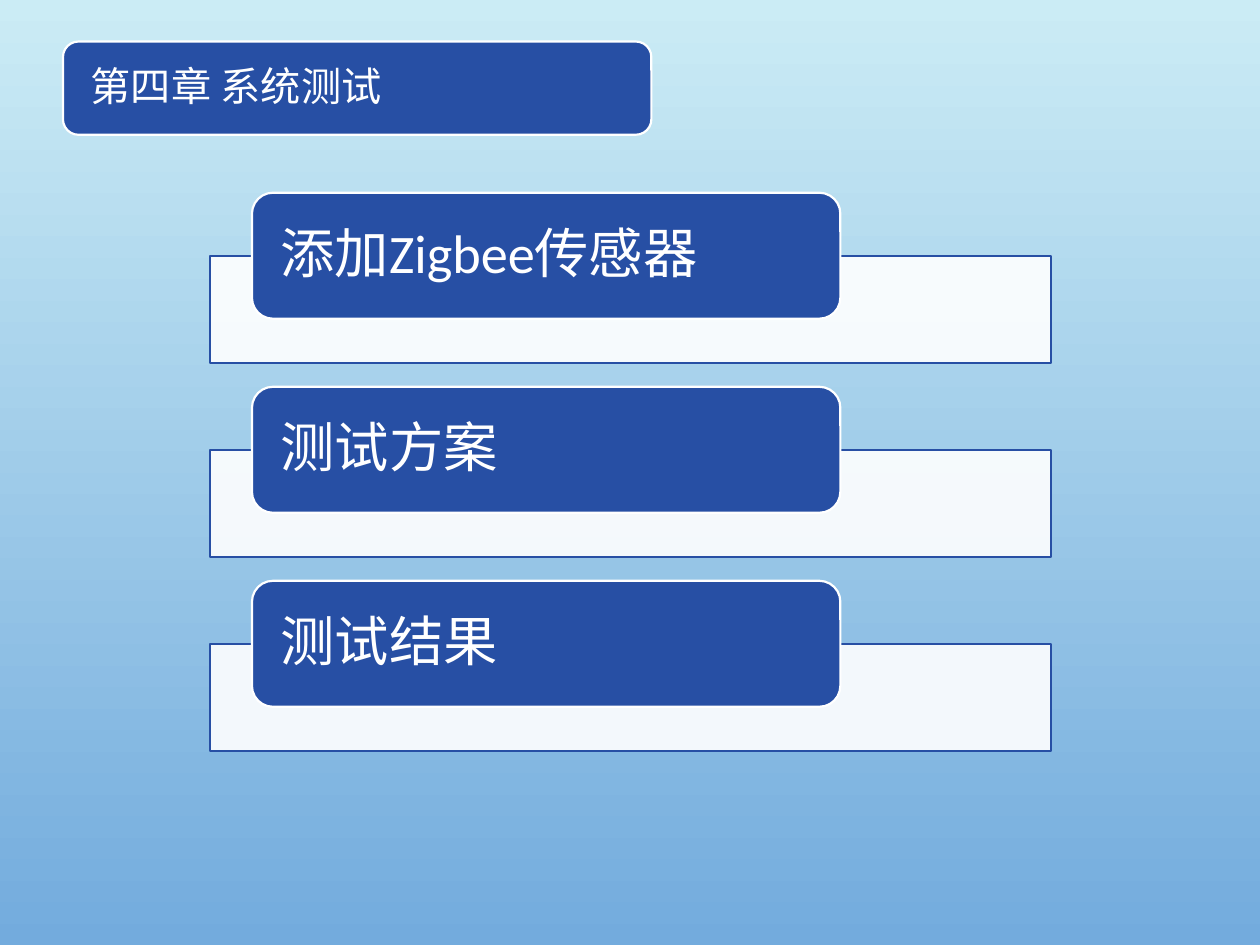
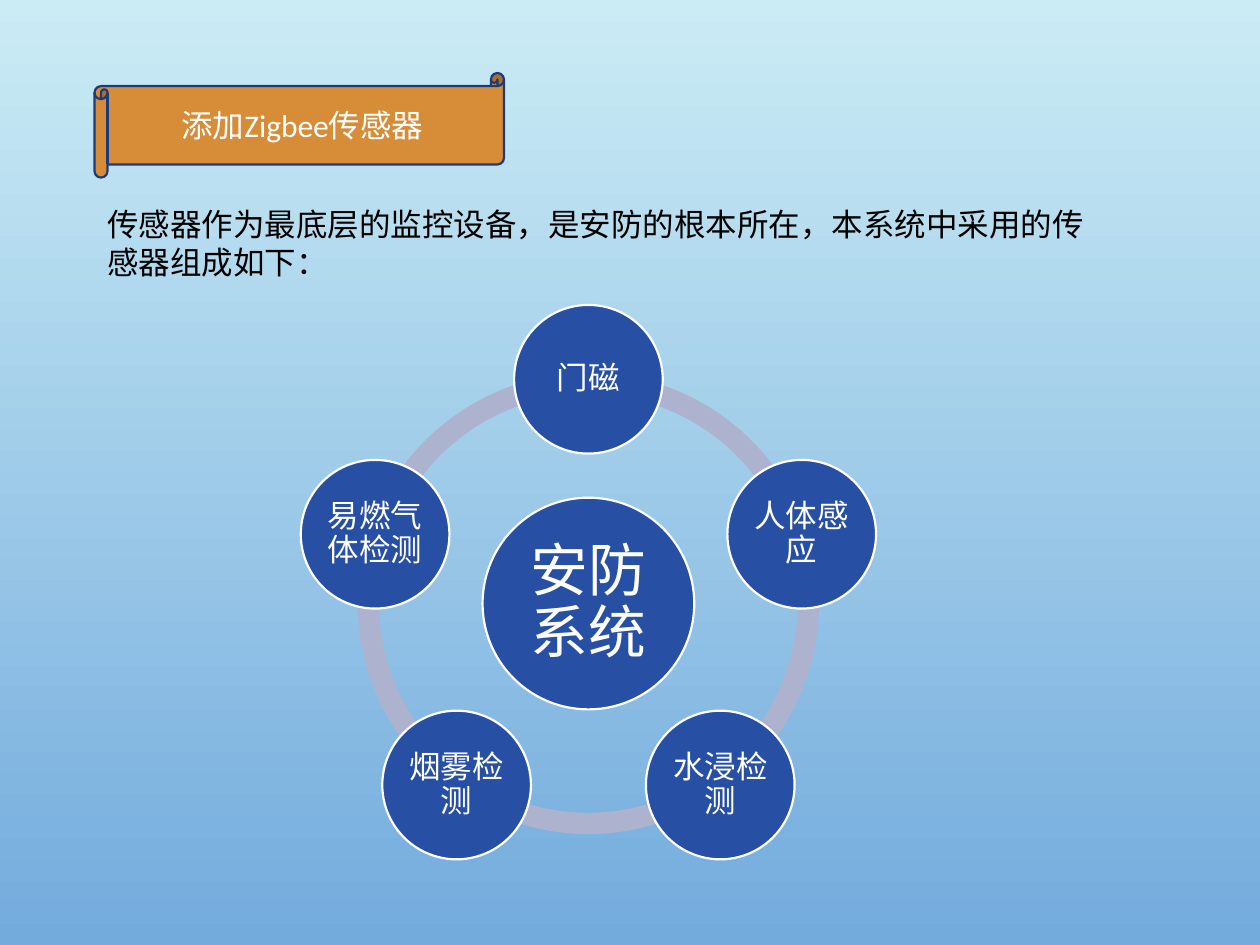
import math

from lxml import etree
from pptx import Presentation
from pptx.dml.color import RGBColor
from pptx.enum.shapes import MSO_SHAPE
from pptx.enum.text import MSO_ANCHOR, MSO_AUTO_SIZE, PP_ALIGN
from pptx.oxml.ns import qn
from pptx.util import Inches, Pt

RECT, ROUNDED = MSO_SHAPE.RECTANGLE, MSO_SHAPE.ROUNDED_RECTANGLE
SCROLL, ARC, CIRCLE = MSO_SHAPE.HORIZONTAL_SCROLL, MSO_SHAPE.BLOCK_ARC, MSO_SHAPE.OVAL
LEFT, CENTER = PP_ALIGN.LEFT, PP_ALIGN.CENTER
TOP, MIDDLE = MSO_ANCHOR.TOP, MSO_ANCHOR.MIDDLE
NO_AUTOFIT = MSO_AUTO_SIZE.NONE

FONT = "Calibri"
BLUE, NAVY, ORANGE, RING = "274FA4", "1D3A79", "D78D38", "ADB3CF"
WHITE, BLACK = "FFFFFF", "000000"
SKY_TOP, SKY_BOTTOM = "CBECF5", "73ABDD"
TITLE_ONLY, TITLE_AND_BODY = 5, 1

TOPICS = ["添加Zigbee传感器", "测试方案", "测试结果"]
SENSORS = ["门磁", "人体感应", "水浸检测", "烟雾检测", "易燃气体检测"]


def rgb(color):
    return RGBColor.from_string(color)


def paint_background(master):
    fill = master.background.fill
    fill.gradient()
    fill.gradient_angle = 270
    for stop, color in zip(fill.gradient_stops, (SKY_TOP, SKY_BOTTOM)):
        stop.color.rgb = rgb(color)


def add_figure(slide, geometry, box, color, outline=None, opacity=100):
    figure = slide.shapes.add_shape(geometry, *map(Inches, box))
    figure.shadow.inherit = False
    figure.fill.solid()
    figure.fill.fore_color.rgb = rgb(color)
    if opacity < 100:
        tint = figure.fill._xPr.find(qn("a:solidFill"))[0]
        etree.SubElement(tint, qn("a:alpha"), val=str(opacity * 1000))
    if outline:
        figure.line.color.rgb = rgb(outline)
        figure.line.width = Pt(1.25)
    else:
        figure.line.fill.background()
    return figure


def write(holder, text, size, color=WHITE, align=LEFT, anchor=MIDDLE,
          inset=(0.1, 0.05), spacing=1.0):
    frame = holder.text_frame
    frame.word_wrap = True
    frame.auto_size = NO_AUTOFIT
    frame.vertical_anchor = anchor
    frame.margin_left = frame.margin_right = Inches(inset[0])
    frame.margin_top = frame.margin_bottom = Inches(inset[1])
    paragraph = frame.paragraphs[0]
    paragraph.alignment = align
    paragraph.line_spacing = spacing
    paragraph.space_before = Pt(0)
    run = paragraph.add_run()
    run.text = text
    run.font.name = FONT
    run.font.size = Pt(size)
    run.font.color.rgb = rgb(color)
    return paragraph


def place(holder, box):
    holder.left, holder.top, holder.width, holder.height = map(Inches, box)


def add_title(slide, banner, text_box, text, size, **style):
    """Set the slide title on top of its banner."""
    title = slide.shapes.title
    place(title, text_box)
    banner.element.addnext(title.element)
    write(title, text, size, **style)


def add_topic(slide, top, topic):
    add_figure(slide, RECT, (1.67, top + 0.5, 6.67, 0.85), WHITE, BLUE, opacity=90)
    card = add_figure(slide, ROUNDED, (2, top, 4.67, 1), BLUE, WHITE)
    write(card, topic, 31, inset=(0.18, 0), spacing=0.9)


def add_disc(slide, x, y, diameter, label, size, inset):
    box = (x - diameter / 2, y - diameter / 2, diameter, diameter)
    disc = add_figure(slide, CIRCLE, box, BLUE, WHITE)
    write(disc, label, size, align=CENTER, inset=(inset, inset), spacing=0.9)


def add_sensor_ring(slide, x, y):
    step = 360 / len(SENSORS)
    angles = [270 + step * i for i in range(len(SENSORS))]
    # Ring segments between neighbouring sensors
    radius = 1.83
    for angle in angles:
        arc = add_figure(slide, ARC, (x - radius, y - radius, 2 * radius, 2 * radius), RING)
        # Arc angles are stored in 1/60000 degree, adjustments in 1/100000
        arc.adjustments[0] = angle % 360 * 0.6
        arc.adjustments[1] = (angle + step) % 360 * 0.6
        arc.adjustments[2] = 0.046
    # Hub and sensors
    add_disc(slide, x, y, 1.68, "安防系统", 33, 0.05)
    orbit = 1.78
    for angle, sensor in zip(map(math.radians, angles), SENSORS):
        add_disc(slide, x + orbit * math.cos(angle), y + orbit * math.sin(angle),
                 1.18, sensor, 18, 0.03)


def build_chapter_slide(prs):
    slide = prs.slides.add_slide(prs.slide_layouts[TITLE_ONLY])
    banner = add_figure(slide, ROUNDED, (0.5, 0.33, 4.67, 0.74), BLUE, WHITE)
    add_title(slide, banner, (0.54, 0.37, 4.59, 0.67), "第四章 系统测试", 23,
              inset=(0.18, 0), spacing=0.9)
    for i, topic in enumerate(TOPICS):
        add_topic(slide, 1.53 + 1.54 * i, topic)


def build_sensor_slide(prs):
    slide = prs.slides.add_slide(prs.slide_layouts[TITLE_AND_BODY])
    scroll = add_figure(slide, SCROLL, (0.75, 0.58, 3.25, 0.83), ORANGE, NAVY)
    add_title(slide, scroll, (0.8, 0.58, 3.2, 0.83), TOPICS[0], 18, align=CENTER)
    # Introduction without bullet
    intro = slide.placeholders[1]
    place(intro, (0.75, 1.58, 8.17, 0.71))
    paragraph = write(
        intro, "传感器作为最底层的监控设备，是安防的根本所在，本系统中采用的传感器组成如下：",
        18, BLACK, anchor=TOP)
    properties = paragraph._p.get_or_add_pPr()
    properties.set("marL", "0")
    properties.set("indent", "0")
    etree.SubElement(properties, qn("a:buNone"))
    add_sensor_ring(slide, 4.67, 4.79)


def main():
    prs = Presentation()
    prs.slide_width, prs.slide_height = Inches(10), Inches(7.5)
    paint_background(prs.slide_master)
    build_chapter_slide(prs)
    build_sensor_slide(prs)
    prs.save("out.pptx")


if __name__ == "__main__":
    main()
